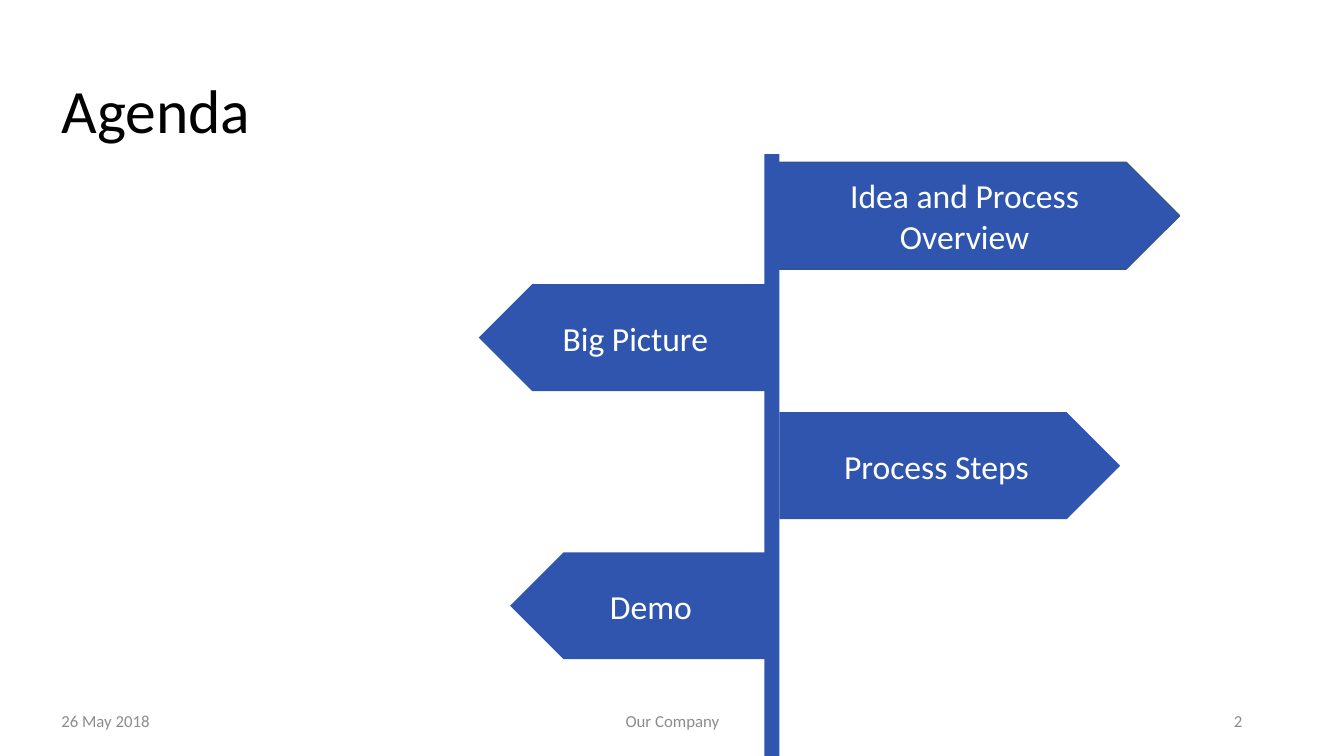
from pptx import Presentation
from pptx.dml.color import RGBColor
from pptx.enum.shapes import MSO_SHAPE as SHAPE
from pptx.enum.text import MSO_ANCHOR as ANCHOR, MSO_AUTO_SIZE as AUTO, PP_ALIGN as ALIGN
from pptx.util import Inches, Pt

BLUE = RGBColor(0x2F, 0x55, 0xAE)
OUTLINE = RGBColor(0x32, 0x54, 0x91)
WHITE = RGBColor(0xFF, 0xFF, 0xFF)
BLACK = RGBColor(0, 0, 0)
GREY = RGBColor(0x8C, 0x8C, 0x8C)

WIDTH, HEIGHT = 13.33, 7.5
MARGIN, CONTENT = 0.51, 11.91
POST_LEFT, POST_TOP, POST_WIDTH = 7.58, 1.53, 0.15
POST_RIGHT = POST_LEFT + POST_WIDTH
SIGN_HEIGHT = 1.06
FOOTER_TOP, FOOTER_HEIGHT = 6.95, 0.4

SIGNS = [
    ("Big Picture", 4.75, 2.82, 2.84, True),
    ("Demo", 5.06, 5.48, 2.53, True),
    ("Process Steps", POST_RIGHT, 4.09, 3.38, False),
]
FOOTERS = [
    ("26 May 2018", MARGIN, 3.41, ALIGN.LEFT),
    ("Our Company", 4.42, 4.5, ALIGN.CENTER),
    ("2", 9.42, 3, ALIGN.RIGHT),
]


def box(left, top, width, height):
    return [Inches(v) for v in (left, top, width, height)]


def write(sp, text, size, color, align):
    tf = sp.text_frame
    tf.word_wrap = True
    tf.auto_size = AUTO.NONE
    tf.vertical_anchor = ANCHOR.MIDDLE
    p = tf.paragraphs[0]
    p.alignment = align
    r = p.add_run()
    r.text = text
    r.font.name = "Calibri"
    r.font.size = Pt(size)
    r.font.color.rgb = color
    return p


def add_title(s, text):
    sp = s.shapes.title
    sp.left, sp.top, sp.width, sp.height = box(MARGIN, 0.4, CONTENT, 1.45)
    write(sp, text, 44, BLACK, ALIGN.LEFT).line_spacing = 0.9


def add_footer(s, text, left, width, align):
    sp = s.shapes.add_textbox(*box(left, FOOTER_TOP, width, FOOTER_HEIGHT))
    write(sp, text, 12, GREY, align)


def add_block(s, kind, left, top, width, height):
    sp = s.shapes.add_shape(kind, *box(left, top, width, height))
    sp.shadow.inherit = False
    sp.fill.solid()
    sp.fill.fore_color.rgb = BLUE
    sp.line.fill.background()
    return sp


def add_sign(s, text, left, top, width, points_left=False):
    sp = add_block(s, SHAPE.PENTAGON, left, top, width, SIGN_HEIGHT)
    if points_left:
        sp._element.spPr.xfrm.set("flipH", "1")
    write(sp, text, 24, WHITE, ALIGN.CENTER)
    return sp


def main():
    prs = Presentation()
    prs.slide_width, prs.slide_height = Inches(WIDTH), Inches(HEIGHT)
    s = prs.slides.add_slide(prs.slide_layouts[5])
    add_title(s, "Agenda")
    for footer in FOOTERS:
        add_footer(s, *footer)
    overview = add_sign(s, "Idea and Process Overview", 7.7, 1.61, 4)
    overview.line.color.rgb = OUTLINE
    overview.line.width = Pt(1)
    add_block(s, SHAPE.RECTANGLE, POST_LEFT, POST_TOP, POST_WIDTH, HEIGHT - POST_TOP)
    for sign in SIGNS:
        add_sign(s, *sign)
    prs.save("out.pptx")


if __name__ == "__main__":
    main()
